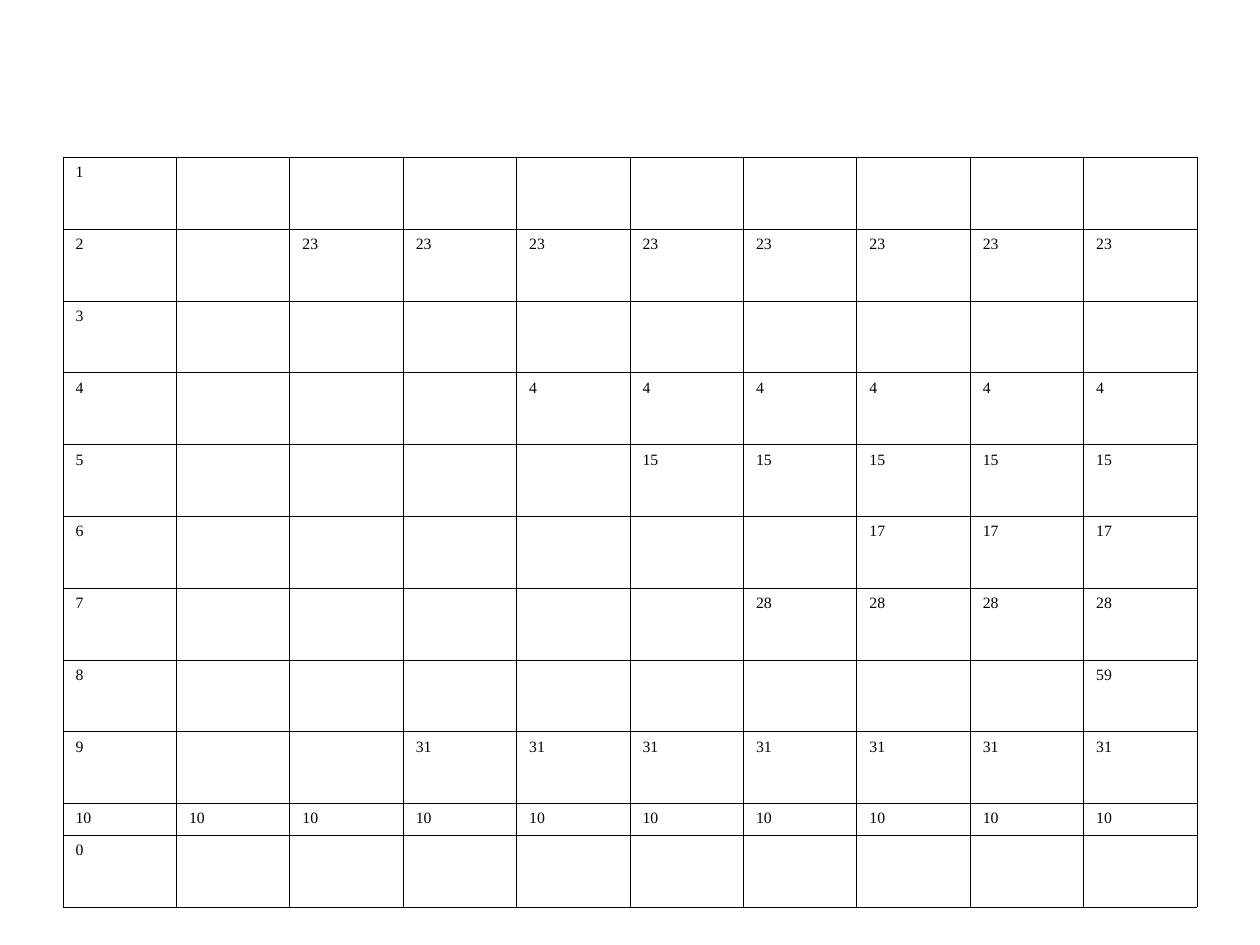
from lxml.etree import SubElement
from pptx import Presentation
from pptx.dml.color import RGBColor
from pptx.enum.text import PP_ALIGN
from pptx.oxml.ns import qn
from pptx.util import Pt

COLORS = {"text": "000000", "border": "000000"}
NUMBER_FONT = {"name": "Times New Roman", "size": Pt(9)}
CELL_MARGINS = {
    "margin_left": Pt(7.2),
    "margin_right": Pt(7.2),
    "margin_top": Pt(3.6),
    "margin_bottom": Pt(3.6),
}
PLAIN_TABLE = {"first_row": False, "horz_banding": False}
HANGING_INDENT = Pt(27)
TAB_STOPS = [Pt(72 * stop) for stop in range(8)]
BORDER_WIDTH = Pt(0.45)

COLUMN_COUNT = 10
COLUMN_WIDTH = Pt(64.8)
ROW_HEIGHT = Pt(41.04)
SHORT_ROW_HEIGHT = Pt(18.2)
SHORT_ROW_LABEL = "10"

ROWS = [
    ("1", "", COLUMN_COUNT),
    ("2", "23", 2),
    ("3", "", COLUMN_COUNT),
    ("4", "4", 4),
    ("5", "15", 5),
    ("6", "17", 7),
    ("7", "28", 6),
    ("8", "59", 9),
    ("9", "31", 3),
    ("10", "10", 1),
    ("0", "", COLUMN_COUNT),
]


def apply_format(target, values):
    for attribute, value in values.items():
        setattr(target, attribute, value)


def add_borders(cell):
    properties = cell._tc.get_or_add_tcPr()
    for side in ("lnL", "lnR", "lnT", "lnB"):
        border = SubElement(properties, qn(f"a:{side}"), w=str(BORDER_WIDTH))
        fill = SubElement(border, qn("a:solidFill"))
        SubElement(fill, qn("a:srgbClr"), val=COLORS["border"])


def write_number(cell, number):
    paragraph = cell.text_frame.paragraphs[0]
    paragraph.alignment = PP_ALIGN.JUSTIFY
    properties = paragraph._p.get_or_add_pPr()
    properties.set("marL", str(HANGING_INDENT))
    properties.set("indent", str(-HANGING_INDENT))
    tabs = SubElement(properties, qn("a:tabLst"))
    for stop in TAB_STOPS:
        SubElement(tabs, qn("a:tab"), pos=str(stop), algn="l")
    run = paragraph.add_run()
    run.text = number
    apply_format(run.font, NUMBER_FONT)
    run.font.color.rgb = RGBColor.from_string(COLORS["text"])


def row_numbers(label, value, start):
    blanks = [""] * (start - 1)
    return [label, *blanks, *[value] * (COLUMN_COUNT - start)]


def add_number_grid(slide):
    heights = [
        SHORT_ROW_HEIGHT if label == SHORT_ROW_LABEL else ROW_HEIGHT
        for label, _, _ in ROWS
    ]
    grid = slide.shapes.add_table(
        len(ROWS), COLUMN_COUNT, Pt(36), Pt(90),
        COLUMN_WIDTH * COLUMN_COUNT, sum(heights),
    ).table
    apply_format(grid, PLAIN_TABLE)
    for column in grid.columns:
        column.width = COLUMN_WIDTH
    for row, height, entry in zip(grid.rows, heights, ROWS):
        row.height = height
        for cell, number in zip(row.cells, row_numbers(*entry)):
            apply_format(cell, CELL_MARGINS)
            add_borders(cell)
            cell.fill.background()
            if number:
                write_number(cell, number)


def main():
    presentation = Presentation()
    presentation.slide_width = Pt(720)
    presentation.slide_height = Pt(540)
    slide = presentation.slides.add_slide(presentation.slide_layouts[6])
    add_number_grid(slide)
    presentation.save("out.pptx")


if __name__ == "__main__":
    main()
